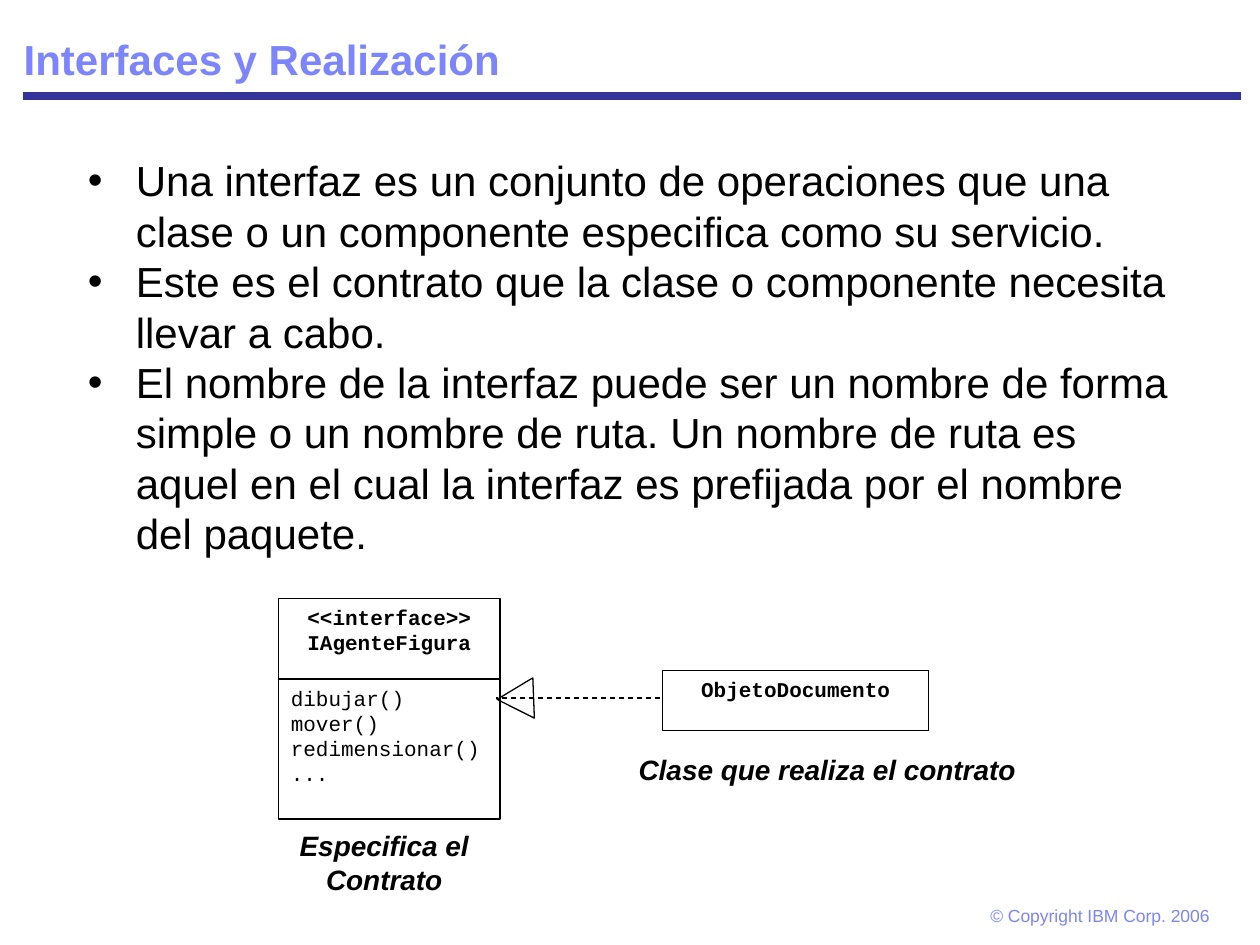
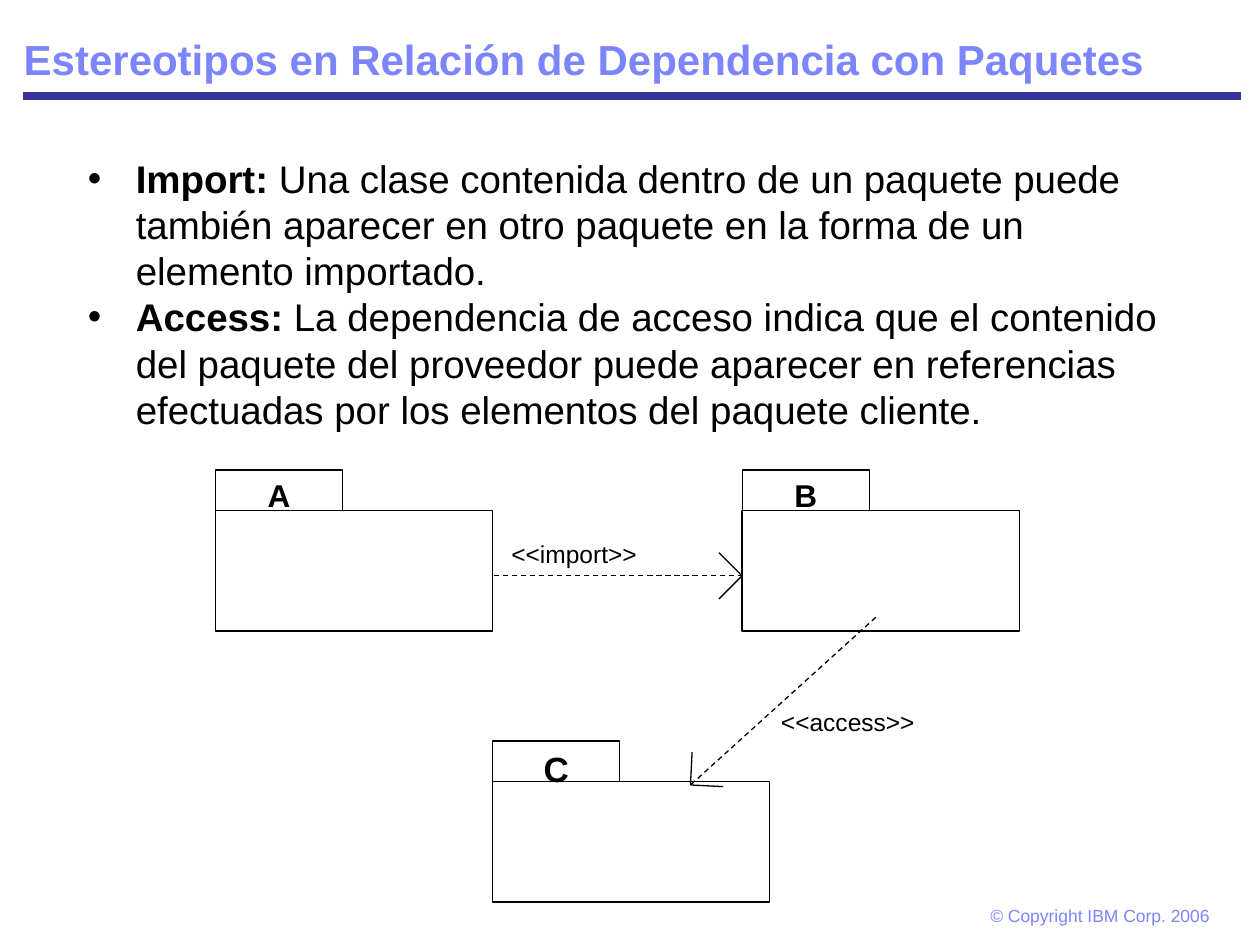
import math
from dataclasses import dataclass

from lxml import etree
from pptx import Presentation
from pptx import util as u
from pptx.dml.color import RGBColor
from pptx.enum import dml, shapes, text
from pptx.oxml.ns import qn


@dataclass(frozen=True)
class Theme:
    ink: str = "000000"
    accent: str = "7C85FC"
    rule: str = "333399"
    sans: str = "Arial"
    mono: str = "Courier New"
    title_size: int = 24
    caption_size: int = 16
    label_size: int = 14
    code_size: int = 12
    footer_size: int = 10
    thin: float = 0.75
    thick: float = 4.5


THEME = Theme()
CENTER = text.PP_ALIGN.CENTER
HANGING = u.Inches(0.38)
TAB_HEIGHT, FOLDER_WIDTH = 0.32, 2.2
WING_LENGTH, WING_ANGLE = 0.26, math.radians(45)


def inches(*lengths):
    return [u.Inches(length) for length in lengths]


def add_run(paragraph, words, size, color=THEME.ink, name=THEME.sans, **styles):
    run = paragraph.add_run()
    run.text = words
    run.font.color.rgb = RGBColor.from_string(color)
    for key, value in {"size": u.Pt(size), "name": name, **styles}.items():
        setattr(run.font, key, value)


def frame_format(frame, wrap=True, margins=(0.1, 0.05, 0.1, 0.05),
                 anchor=text.MSO_ANCHOR.TOP):
    sides = ("margin_left", "margin_top", "margin_right", "margin_bottom")
    settings = dict(zip(sides, inches(*margins)))
    settings.update(word_wrap=wrap, vertical_anchor=anchor)
    for key, value in settings.items():
        setattr(frame, key, value)


def write_lines(frame, lines, size, align=text.PP_ALIGN.LEFT, **styles):
    for index, line in enumerate(lines):
        paragraph = frame.add_paragraph() if index else frame.paragraphs[0]
        paragraph.alignment = align
        add_run(paragraph, line, size, **styles)


def add_label(slide, place, lines, size, wrap=True, align=text.PP_ALIGN.LEFT,
              **styles):
    frame = slide.shapes.add_textbox(*inches(*place)).text_frame
    frame_format(frame, wrap)
    write_lines(frame, lines, size, align, **styles)
    return frame


def add_outline(slide, place, kind=shapes.MSO_SHAPE.RECTANGLE):
    """Unfilled preset shape with a thin black border."""
    outline = slide.shapes.add_shape(kind, *inches(*place))
    outline.shadow.inherit = False
    outline.fill.background()
    outline.line.color.rgb = RGBColor.from_string(THEME.ink)
    outline.line.width = u.Pt(THEME.thin)
    return outline


def add_compartment(slide, place, lines, **styles):
    """One section of a UML class box."""
    frame = add_outline(slide, place).text_frame
    frame_format(frame)
    write_lines(frame, lines, THEME.code_size, name=THEME.mono, **styles)


def add_line(slide, start, end, color=THEME.ink, width=THEME.thin, dashed=False):
    line = slide.shapes.add_connector(
        shapes.MSO_CONNECTOR.STRAIGHT, *inches(*start, *end))
    line.line.color.rgb = RGBColor.from_string(color)
    line.line.width = u.Pt(width)
    if dashed:
        line.line.dash_style = dml.MSO_LINE.DASH
    etree.SubElement(line._element.spPr, qn("a:effectLst"))


def add_dependency(slide, start, tip):
    """Dashed line that ends in an open arrow."""
    add_line(slide, start, tip, dashed=True)
    back = math.atan2(start[1] - tip[1], start[0] - tip[0])
    for angle in (back - WING_ANGLE, back + WING_ANGLE):
        wing = (tip[0] + WING_LENGTH * math.cos(angle),
                tip[1] + WING_LENGTH * math.sin(angle))
        add_line(slide, tip, wing)


def add_package(slide, letter, left, top, size=18):
    tab = add_outline(slide, (left, top, 1.01, TAB_HEIGHT)).text_frame
    frame_format(tab, margins=(0.1, 0.05, 0.1, 0))
    write_lines(tab, [letter], size, CENTER, bold=True)
    add_outline(slide, (left, top + TAB_HEIGHT, FOLDER_WIDTH, 0.96))


def add_bullet(paragraph):
    properties = paragraph._p.get_or_add_pPr()
    properties.set("marL", str(HANGING))
    properties.set("indent", str(-HANGING))
    color = etree.SubElement(properties, qn("a:buClr"))
    etree.SubElement(color, qn("a:srgbClr"), val=THEME.ink)
    etree.SubElement(properties, qn("a:buFont"), typeface=THEME.sans)
    etree.SubElement(properties, qn("a:buChar"), char="•")


def add_points(slide, points, size):
    """Bulleted body; each point is a pair of bold lead and plain text."""
    frame = slide.shapes.add_textbox(*inches(0.6, 1.18, 8.8, 5.38)).text_frame
    frame_format(frame)
    for index, (lead, body) in enumerate(points):
        paragraph = frame.add_paragraph() if index else frame.paragraphs[0]
        add_bullet(paragraph)
        if lead:
            add_run(paragraph, lead + " ", size, bold=True)
        add_run(paragraph, body, size)


def start_slide(deck, title):
    """Blank slide with the shared rule, footer and title."""
    slide = deck.slides.add_slide(deck.slide_layouts[6])
    add_line(slide, (0.18, 0.76), (9.85, 0.76), THEME.rule, THEME.thick)
    footer = add_label(slide, (7.71, 7.11, 2.04, 0.32),
                       ["© Copyright IBM Corp. 2006"], THEME.footer_size,
                       color=THEME.accent)
    frame_format(footer, margins=(0.15, 0.07, 0.15, 0.07))
    heading = add_label(slide, (0.09, 0.09, 9.8, 0.63), [title],
                        THEME.title_size, color=THEME.accent, bold=True)
    frame_format(heading, anchor=text.MSO_ANCHOR.BOTTOM)
    heading.paragraphs[0].line_spacing = 0.9
    return slide


def interfaces_slide(deck):
    slide = start_slide(deck, "Interfaces y Realización")
    caption = dict(size=THEME.caption_size, wrap=False, bold=True, italic=True)
    add_label(slide, (4.97, 5.92, 3.19, 0.37),
              ["Clase que realiza el contrato"], **caption)
    add_compartment(slide, (2.21, 4.75, 1.76, 0.64),
                    ["<<interface>>", "IAgenteFigura"], align=CENTER, bold=True)
    add_compartment(slide, (2.21, 5.39, 1.76, 1.11),
                    ["dibujar()", "mover()", "redimensionar()", "..."])
    add_compartment(slide, (5.26, 5.32, 2.11, 0.48), ["ObjetoDocumento"],
                    align=CENTER, bold=True)
    add_line(slide, (5.24, 5.54), (3.94, 5.54), dashed=True)
    realization = add_outline(slide, (3.93, 5.4, 0.32, 0.29),
                              shapes.MSO_SHAPE.ISOSCELES_TRIANGLE)
    realization.rotation = 267.8
    add_label(slide, (2.25, 6.53, 1.6, 0.64), ["Especifica el ", "Contrato"],
              align=CENTER, **caption)
    add_points(slide, [
        ("", "Una interfaz es un conjunto de operaciones que una clase o un "
             "componente especifica como su servicio."),
        ("", "Este es el contrato que la clase o componente necesita llevar "
             "a cabo."),
        ("", "El nombre de la interfaz puede ser un nombre de forma simple o "
             "un nombre de ruta. Un nombre de ruta es aquel en el cual la "
             "interfaz es prefijada por el nombre del paquete."),
    ], size=24)


def packages_slide(deck):
    slide = start_slide(
        deck, "Estereotipos en Relación de Dependencia con Paquetes")
    add_package(slide, "A", 1.71, 3.73)
    add_package(slide, "B", 5.89, 3.73)
    add_package(slide, "C", 3.91, 5.88, size=20)
    add_dependency(slide, (3.92, 4.57), (5.89, 4.57))
    add_dependency(slide, (6.95, 4.9), (5.48, 6.23))
    for stereotype, left, top in (("<<import>>", 3.96, 4.23),
                                  ("<<access>>", 6.1, 5.56)):
        add_label(slide, (left, top, 1.76, 0.37), [stereotype],
                  THEME.label_size)
    add_points(slide, [
        ("Import:", "Una clase contenida dentro de un paquete puede también "
                    "aparecer en otro paquete en la forma de un elemento "
                    "importado."),
        ("Access:", "La dependencia de acceso indica que el contenido del "
                    "paquete del proveedor puede aparecer en referencias "
                    "efectuadas por los elementos del paquete cliente."),
    ], size=22)


def main():
    deck = Presentation()
    deck.slide_width, deck.slide_height = inches(10, 7.5)
    interfaces_slide(deck)
    packages_slide(deck)
    deck.save("out.pptx")


if __name__ == "__main__":
    main()
